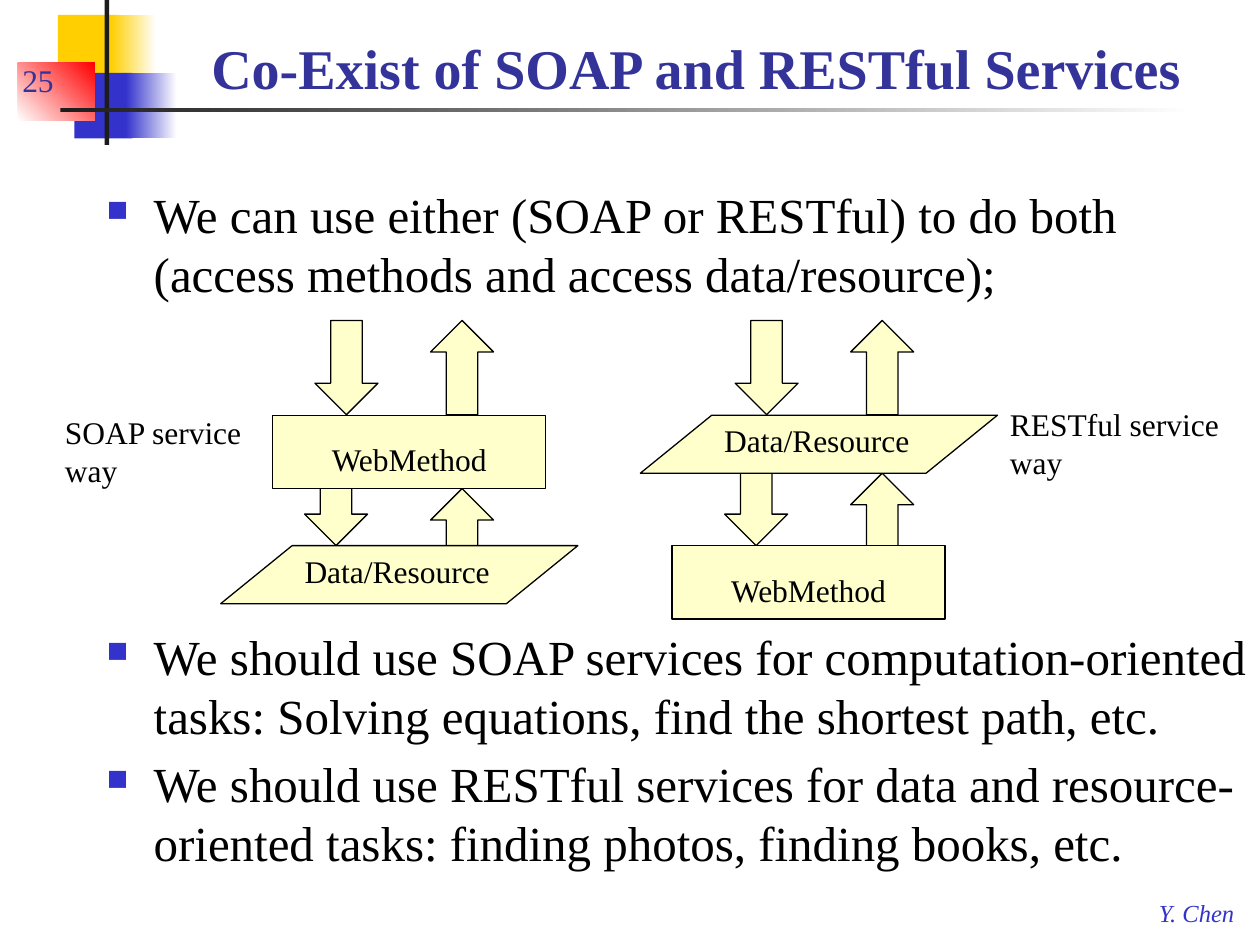
import pptx
import pptx.util
import pptx.dml.color
import pptx.enum.shapes
import pptx.enum.text
from lxml import etree

Cm, Pt = pptx.util.Cm, pptx.util.Pt
SHAPE = pptx.enum.shapes.MSO_SHAPE
ANCHOR = pptx.enum.text.MSO_ANCHOR
ALIGN = pptx.enum.text.PP_ALIGN

FONT = "Times New Roman"
COLORS = {
    "gold": "FFCF01", "blue": "3333CC", "red": "FF0000", "white": "FFFFFF",
    "dark": "1C1C1C", "title": "333399", "black": "000000", "cream": "FFFFCC",
}

# (left, top, width, height) in cm, fill colours, gradient angle
DECORATION = [
    ((1.17, 0.3, 1.22, 1.32), ["gold"], 0),
    ((2.24, 0.3, 0.91, 1.32), ["gold", "white"], 0),
    ((1.5, 1.47, 1.17, 1.32), ["blue"], 0),
    ((2.54, 1.47, 1.02, 1.32), ["blue", "white"], 0),
    ((0.36, 1.27, 1.55, 1.17), ["white", "red"], 45),
    ((2.11, 0, 0.09, 2.92), ["dark"], 0),
    ((1.22, 2.18, 22.86, 0.08), ["dark", "white"], 0),
]

TITLE = "Co-Exist of SOAP and RESTful Services"
PAGE_NUMBER = "25"
AUTHOR = "Y. Chen"
INTRO = ["We can use either (SOAP or RESTful) to do both (access methods and access data/resource);"]
ADVICE = [
    "We should use SOAP services for computation-oriented tasks: "
    "Solving equations, find the shortest path, etc.",
    "We should use RESTful services for data and resource-oriented tasks: "
    "finding photos, finding books, etc.",
]
WAY_LABELS = [
    (["SOAP service", "way"], (1.06, 8.2, 4.23, 1.8)),
    (["RESTful service", "way"], (20.11, 8.04, 4.76, 1.8)),
]

# Each stack: left of its down arrows, then its layers from top to bottom
STACKS = [
    (6.35, [("WebMethod", 5.5), ("Data/Resource", 4.45)]),
    (14.82, [("Data/Resource", 12.91), ("WebMethod", 13.55)]),
]
LAYERS = {
    "WebMethod": (SHAPE.RECTANGLE, 5.5, 1.48),
    "Data/Resource": (SHAPE.FLOWCHART_DATA, 7.2, 1.17),
}
LAYER_TOPS = [8.37, 11.0]
ARROW_SIZE = (1.27, 1.9)
ARROW_TOP = 6.46
LOWER_DOWN_TOP = 9.1
DOWN_SHIFT = 0.21
UP_SHIFT = 2.33


def rgb(name):
    return pptx.dml.color.RGBColor.from_string(COLORS[name])


def add_block(slide, kind, box, fills, angle=0, outlined=False):
    block = slide.shapes.add_shape(kind, *map(Cm, box))
    block.shadow.inherit = False
    if len(fills) == 1:
        block.fill.solid()
        block.fill.fore_color.rgb = rgb(fills[0])
    else:
        block.fill.gradient()
        block.fill.gradient_angle = angle
        for stop, color, position in zip(block.fill.gradient_stops, fills, (0, 1)):
            stop.color.rgb = rgb(color)
            stop.position = position
    if outlined:
        block.line.color.rgb = rgb("black")
        block.line.width = Pt(0.75)
    else:
        block.line.fill.background()
    return block


def write(frame, lines, size, color="black", anchor=ANCHOR.TOP, wrap=True, bold=False, italic=False):
    frame.text = "\n".join(lines)
    frame.word_wrap = wrap
    frame.vertical_anchor = anchor
    for paragraph in frame.paragraphs:
        paragraph.alignment = ALIGN.LEFT
        for run in paragraph.runs:
            run.font.name = FONT
            run.font.size = Pt(size)
            run.font.color.rgb = rgb(color)
            run.font.bold = bold
            run.font.italic = italic


def add_text(slide, box, lines, size, **style):
    frame = slide.shapes.add_textbox(*map(Cm, box)).text_frame
    write(frame, lines, size, **style)
    return frame


def add_bullets(slide, box, items):
    frame = add_text(slide, box, items, 28)
    for index, paragraph in enumerate(frame.paragraphs):
        properties = paragraph._p.get_or_add_pPr()
        properties.set("marL", str(Cm(0.95)))
        properties.set("indent", str(-Cm(0.95)))
        color = etree.SubElement(properties, pptx.oxml.ns.qn("a:buClr"))
        etree.SubElement(color, pptx.oxml.ns.qn("a:srgbClr"), val=COLORS["blue"])
        etree.SubElement(properties, pptx.oxml.ns.qn("a:buSzPct"), val="60000")
        etree.SubElement(properties, pptx.oxml.ns.qn("a:buChar"), char="■")
        if index:
            paragraph.space_before = Pt(5.6)


def add_stack(slide, left, layers):
    lower_left = left - DOWN_SHIFT
    up_left = left + UP_SHIFT
    upper_height = LAYERS[layers[0][0]][2]
    arrows = [
        (SHAPE.DOWN_ARROW, left, ARROW_TOP),
        (SHAPE.DOWN_ARROW, lower_left, LOWER_DOWN_TOP),
        (SHAPE.UP_ARROW, up_left, LAYER_TOPS[0] + upper_height),
        (SHAPE.UP_ARROW, up_left, ARROW_TOP),
    ]
    for kind, x, y in arrows:
        add_block(slide, kind, (x, y, *ARROW_SIZE), ["cream"], outlined=True)
    for (name, x), y in zip(layers, LAYER_TOPS):
        kind, width, height = LAYERS[name]
        layer = add_block(slide, kind, (x, y, width, height), ["cream"], outlined=True)
        write(layer.text_frame, [name], 18)
        if name == "WebMethod":
            paragraph = layer.text_frame.paragraphs[0]
            paragraph.alignment = ALIGN.CENTER
            paragraph.line_spacing = 1.5


def main():
    deck = pptx.Presentation()
    deck.slide_width, deck.slide_height = Cm(25.4), Cm(19.05)
    slide = deck.slides.add_slide(deck.slide_layouts[6])

    for box, fills, angle in DECORATION:
        add_block(slide, SHAPE.RECTANGLE, box, fills, angle)
    add_text(slide, (23.11, 17.98, 2.08, 0.84), [AUTHOR], 14, color="blue", wrap=False, italic=True)
    add_text(slide, (4.01, 0.43, 21.16, 1.73), [TITLE], 32, color="title", anchor=ANCHOR.BOTTOM, bold=True)
    add_bullets(slide, (1.9, 3.6, 22.96, 2.74), INTRO)
    add_text(slide, (0.2, 0.84, 1.9, 1.27), [PAGE_NUMBER], 18, color="title", anchor=ANCHOR.BOTTOM)
    for left, layers in STACKS:
        add_stack(slide, left, layers)
    add_bullets(slide, (1.9, 12.5, 23.5, 6.15), ADVICE)
    for lines, box in WAY_LABELS:
        add_text(slide, box, lines, 18, wrap=False)

    deck.save("out.pptx")


if __name__ == "__main__":
    main()
